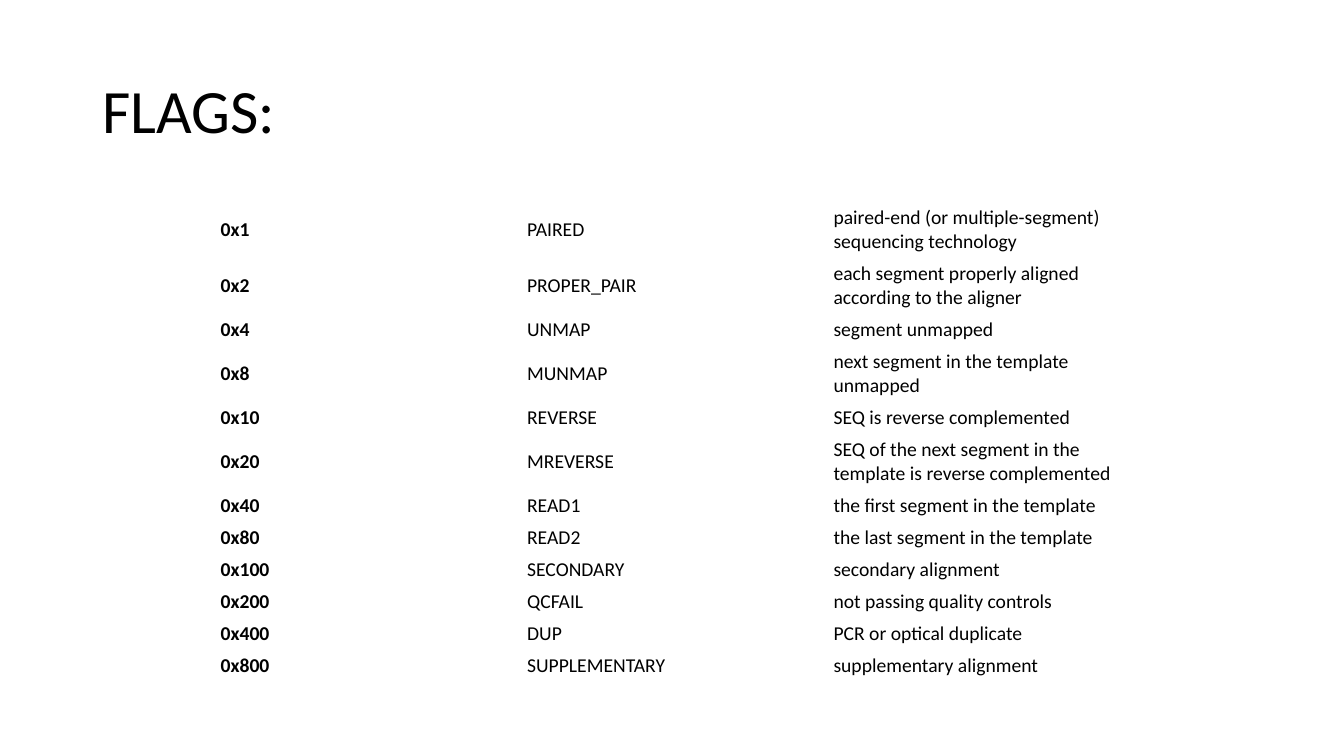
from pptx import Presentation
from pptx.dml.color import RGBColor
from pptx.enum.text import MSO_ANCHOR
from pptx.util import Pt

FONT = "Calibri"
BLACK = "000000"
COLUMN_WIDTH = 218.9
ONE_LINE, TWO_LINES = 22.86, 40

FLAGS = [
    ("0x1", "PAIRED", "paired-end (or multiple-segment) sequencing technology", TWO_LINES),
    ("0x2", "PROPER_PAIR", "each segment properly aligned according to the aligner", TWO_LINES),
    ("0x4", "UNMAP", "segment unmapped", ONE_LINE),
    ("0x8", "MUNMAP", "next segment in the template unmapped", TWO_LINES),
    ("0x10", "REVERSE", "SEQ is reverse complemented", ONE_LINE),
    ("0x20", "MREVERSE", "SEQ of the next segment in the template is reverse complemented", TWO_LINES),
    ("0x40", "READ1", "the first segment in the template", ONE_LINE),
    ("0x80", "READ2", "the last segment in the template", ONE_LINE),
    ("0x100", "SECONDARY", "secondary alignment", ONE_LINE),
    ("0x200", "QCFAIL", "not passing quality controls", ONE_LINE),
    ("0x400", "DUP", "PCR or optical duplicate", ONE_LINE),
    ("0x800", "SUPPLEMENTARY", "supplementary alignment", ONE_LINE),
]


def color(hex_string):
    return RGBColor.from_string(hex_string)


def format_text(paragraph, size, bold=False):
    for run in paragraph.runs:
        run.font.name = FONT
        run.font.size = Pt(size)
        run.font.bold = bold
        run.font.color.rgb = color(BLACK)


def add_title(slide, text):
    shape = slide.shapes.add_textbox(Pt(66), Pt(28.8), Pt(828), Pt(104.4))
    text_frame = shape.text_frame
    text_frame.word_wrap = True
    text_frame.vertical_anchor = MSO_ANCHOR.MIDDLE
    text_frame.text = text
    paragraph = text_frame.paragraphs[0]
    paragraph.line_spacing = 0.9
    format_text(paragraph, 44)


def fill_cell(cell, text, bold):
    cell.fill.background()
    cell.vertical_anchor = MSO_ANCHOR.MIDDLE
    cell.margin_left = cell.margin_right = Pt(5.7)
    cell.margin_top = cell.margin_bottom = Pt(2.85)
    cell.text_frame.text = text
    format_text(cell.text_frame.paragraphs[0], 14, bold)


def add_flag_table(slide, flags):
    height = sum(row_height for *_, row_height in flags)
    table = slide.shapes.add_table(
        len(flags), 3, Pt(151.9), Pt(144), Pt(3 * COLUMN_WIDTH), Pt(height)
    ).table
    table.first_row = False
    table.horz_banding = False
    for column in table.columns:
        column.width = Pt(COLUMN_WIDTH)
    for row, (*texts, row_height) in zip(table.rows, flags):
        row.height = Pt(row_height)
        for index, (cell, text) in enumerate(zip(row.cells, texts)):
            fill_cell(cell, text, bold=index == 0)


def main():
    presentation = Presentation()
    presentation.slide_width = Pt(960)
    presentation.slide_height = Pt(540)
    slide = presentation.slides.add_slide(presentation.slide_layouts[6])
    add_title(slide, "FLAGS:")
    add_flag_table(slide, FLAGS)
    presentation.save("out.pptx")


if __name__ == "__main__":
    main()
